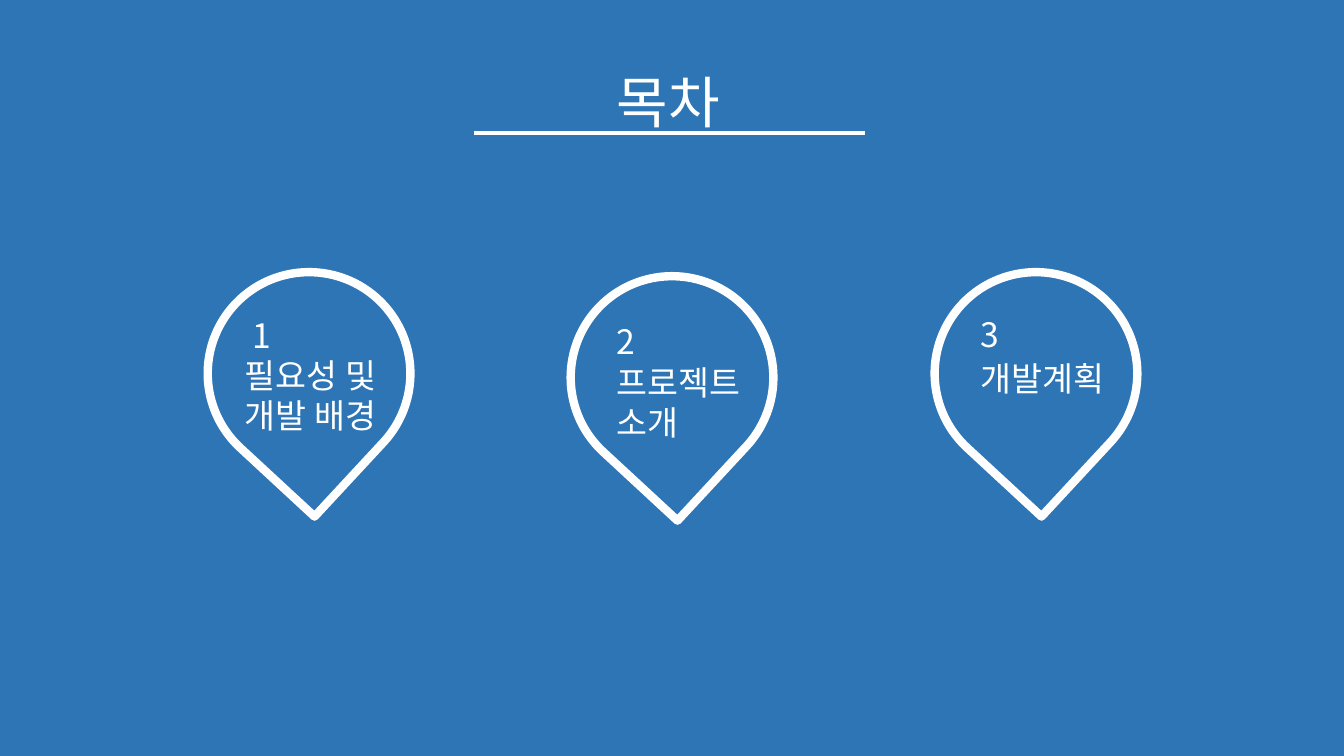
from dataclasses import dataclass

from lxml import etree
from pptx import Presentation, util as u
from pptx.dml.color import RGBColor
from pptx.enum import shapes, text
from pptx.oxml import ns
from pptx.slide import Slide

SCALE = 9144
FONT = "Noto Sans CJK KR"
COLORS = {"blue": "2E75B6", "white": "FFFFFF"}
PIN_SIZE = 201
PIN_TURN = 132.8


@dataclass(frozen=True)
class Label:
    words: str
    left: int
    top: int
    width: int
    height: int
    size: int = 24
    align: text.PP_ALIGN = text.PP_ALIGN.LEFT


@dataclass(frozen=True)
class Pin:
    left: int
    top: int
    number: Label
    topic: Label


TITLE = Label("목차", 480, 62, 366, 77, 40, text.PP_ALIGN.CENTER)
PINS = [
    Pin(206, 270, Label("1", 241, 308, 47, 50),
        Label("필요성 및\n개발 배경", 233, 347, 170, 91)),
    Pin(566, 274, Label("2", 602, 313, 47, 50),
        Label("프로젝트\n소개", 602, 354, 150, 91)),
    Pin(927, 270, Label("3", 963, 307, 47, 50),
        Label("개발계획", 963, 350, 162, 50)),
]


def px(count: int) -> u.Emu:
    return u.Emu(count * SCALE)


def color(name: str) -> RGBColor:
    return RGBColor.from_string(COLORS[name])


def add_label(slide: Slide, label: Label) -> None:
    box = slide.shapes.add_textbox(
        px(label.left), px(label.top), px(label.width), px(label.height))
    frame = box.text_frame
    frame.word_wrap = True
    frame.text = label.words
    for para in frame.paragraphs:
        para.alignment = label.align
        for run in para.runs:
            run.font.size = u.Pt(label.size)
            run.font.name = FONT
            run.font.color.rgb = color("white")
            etree.SubElement(run.font._element, ns.qn("a:ea"), typeface=FONT)


def add_pin(slide: Slide, pin: Pin) -> None:
    drop = slide.shapes.add_shape(
        shapes.MSO_SHAPE.TEAR, px(pin.left), px(pin.top),
        px(PIN_SIZE), px(PIN_SIZE))
    drop.rotation = PIN_TURN
    drop.shadow.inherit = False
    drop.fill.solid()
    drop.fill.fore_color.rgb = color("blue")
    drop.line.color.rgb = color("white")
    drop.line.width = u.Pt(6)
    add_label(slide, pin.topic)
    add_label(slide, pin.number)


def add_rule(slide: Slide, left: int, right: int, top: int) -> None:
    rule = slide.shapes.add_connector(
        shapes.MSO_CONNECTOR.STRAIGHT, px(left), px(top), px(right), px(top))
    rule.line.color.rgb = color("white")
    rule.line.width = u.Pt(3)
    etree.SubElement(rule._element.spPr, ns.qn("a:effectLst"))


def main() -> None:
    deck = Presentation()
    deck.slide_width, deck.slide_height = px(1333), px(750)
    slide = deck.slides.add_slide(deck.slide_layouts[6])
    slide.background.fill.solid()
    slide.background.fill.fore_color.rgb = color("blue")
    add_label(slide, TITLE)
    add_rule(slide, 470, 858, 132)
    for pin in PINS:
        add_pin(slide, pin)
    deck.save("out.pptx")


if __name__ == "__main__":
    main()
